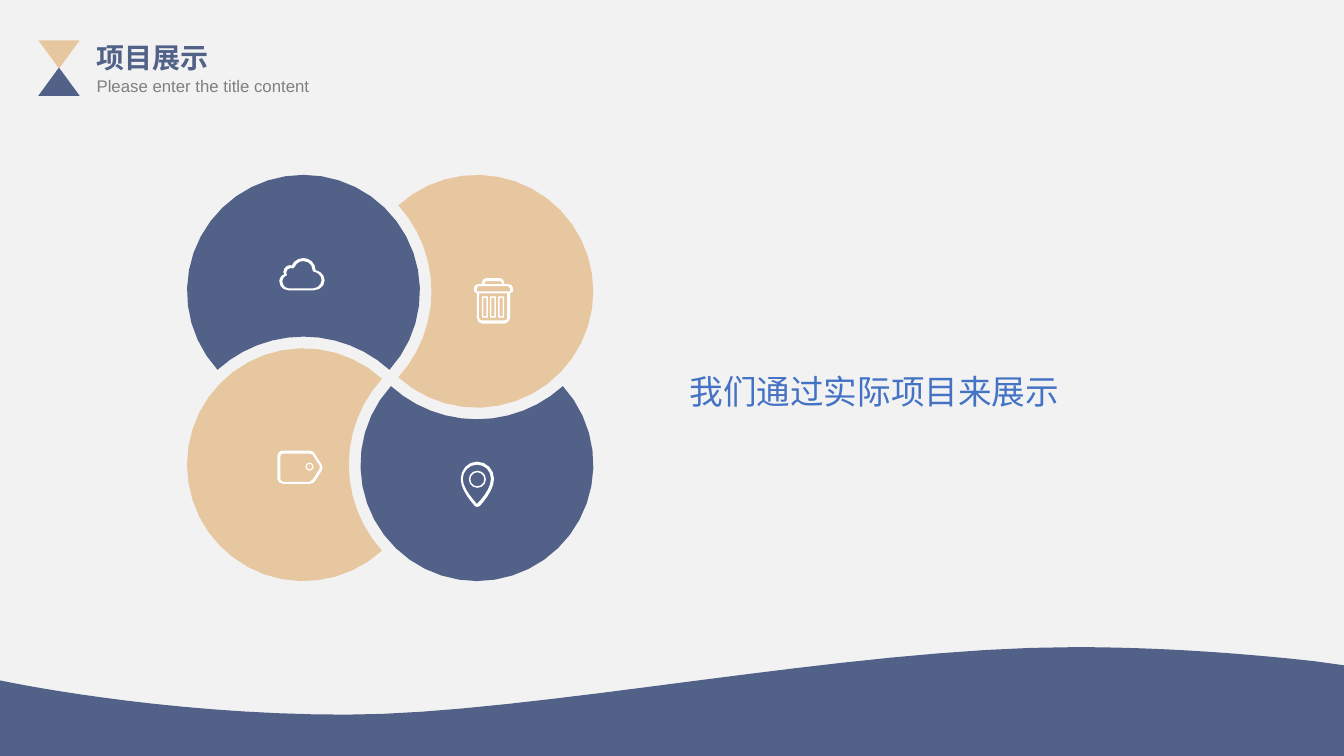
from math import acos, asin, cos, hypot, sin
from pptx import Presentation
from pptx.dml.color import RGBColor
from pptx.enum.shapes import MSO_SHAPE
from pptx.enum.text import MSO_ANCHOR, MSO_AUTO_SIZE, PP_ALIGN
from pptx.util import Inches, Pt

NAVY = RGBColor(0x52, 0x61, 0x88)
TAN = RGBColor(0xE7, 0xC7, 0xA0)
GREY = RGBColor(0x80, 0x80, 0x80)
BLUE = RGBColor(0x44, 0x72, 0xC4)
WHITE = RGBColor(0xFF, 0xFF, 0xFF)
PAPER = RGBColor(0xF2, 0xF2, 0xF2)

WAVE = ("M 1065 0 C 840 0 528 67 343 67 C 157 67 0 33 0 33 L 0 108 L 1333 108 "
        "L 1333 18 L 1304 14 C 1232 6 1149 0 1065 0")
PIN = ("M 16 42 C 11 36 2 26 2 17 C 2 9 9 3 16 3 C 24 3 30 9 30 17 C 30 26 22 36 16 42 "
       "M 16 0 C 7 0 0 8 0 17 C 0 27 8 37 14 44 L 16 45 L 19 44 "
       "C 25 37 33 27 33 17 C 33 8 26 0 16 0")
TAG = ("M 42 18 L 35 29 L 32 31 L 6 31 C 4 31 3 29 3 28 L 3 6 C 3 4 4 3 6 3 "
       "L 32 3 L 35 4 L 42 15 L 42 18 "
       "M 44 14 L 37 3 C 36 1 34 0 32 0 L 6 0 C 3 0 0 2 0 6 L 0 28 C 0 31 3 33 6 33 "
       "L 32 33 C 34 33 36 32 37 31 L 44 20 C 45 18 45 16 44 14")
BIN = ("M 36 10 L 36 13 L 3 13 L 3 10 L 4 8 L 34 8 L 36 10 "
       "M 33 39 C 33 41 32 42 30 42 L 8 42 C 7 42 5 41 5 39 L 5 15 L 33 15 L 33 39 "
       "M 11 4 L 12 3 L 26 3 L 28 4 L 28 6 L 11 6 L 11 4 "
       "M 39 10 C 38 7 37 6 34 6 L 30 6 L 30 4 C 30 2 28 0 26 0 L 12 0 C 10 0 8 2 8 4 "
       "L 8 6 L 4 6 C 2 6 0 7 0 10 L 0 13 L 3 15 L 3 39 C 3 42 5 45 8 45 "
       "L 30 45 C 33 45 36 42 36 39 L 36 15 L 39 13 L 39 10")
CLOUD = ("M 34 30 L 9 30 C 6 30 3 27 3 23 C 3 21 4 19 6 18 C 8 17 8 17 7 15 L 7 14 "
         "C 7 12 9 10 11 10 L 12 10 C 14 11 14 10 15 9 C 17 5 20 3 24 3 "
         "C 29 3 33 7 33 12 C 34 14 34 14 36 14 C 39 15 42 18 42 22 C 42 26 38 30 34 30 "
         "M 36 12 C 36 5 30 0 24 0 C 19 0 14 3 12 8 L 11 7 C 7 7 4 10 4 14 "
         "L 5 16 C 2 17 0 20 0 23 C 0 28 4 32 9 32 L 34 32 "
         "C 40 32 45 28 45 22 C 45 17 41 13 36 12")


def paint(shape, fill):
    """Give a shape a flat fill without line or shadow."""
    shape.shadow.inherit = False
    shape.fill.solid()
    shape.fill.fore_color.rgb = fill
    shape.line.fill.background()


def trace(code):
    """Turn path code in hundredths of an inch into lists of points."""
    words, loops = code.split(), []
    spot = 0
    while spot < len(words):
        count = 6 if words[spot] == "C" else 2
        nums = [float(w) / 100 for w in words[spot + 1:spot + 1 + count]]
        if words[spot] == "M":
            loops.append([tuple(nums)])
        elif words[spot] == "L":
            loops[-1].append(tuple(nums))
        else:
            start = loops[-1][-1]
            span = hypot(nums[4] - start[0], nums[5] - start[1])
            steps = min(16, 2 + int(span * 12))
            for step in range(1, steps + 1):
                t = step / steps
                u = 1 - t
                loops[-1].append(tuple(
                    u**3 * start[k] + 3 * u * u * t * nums[k]
                    + 3 * u * t * t * nums[k + 2] + t**3 * nums[k + 4] for k in (0, 1)))
        spot += count + 1
    return loops


def draw(slide, loops, left, top, fill):
    """Draw closed loops as one filled outline at the given corner."""
    pen = None
    for loop in loops:
        spots = [(Inches(left + x), Inches(top + y)) for x, y in loop]
        if pen is None:
            pen = slide.shapes.build_freeform(*spots[0])
        else:
            pen.move_to(*spots[0])
        pen.add_line_segments(spots[1:], close=True)
    paint(pen.convert_to_shape(), fill)


def write(shape, text, size, color, bold=False, align=PP_ALIGN.LEFT):
    """Put one formatted line of text in a shape."""
    frame = shape.text_frame
    frame.text = text
    frame.word_wrap = True
    frame.auto_size = MSO_AUTO_SIZE.SHAPE_TO_FIT_TEXT
    frame.vertical_anchor = MSO_ANCHOR.TOP
    para = frame.paragraphs[0]
    para.alignment, para.line_spacing = align, 1.0
    font = para.runs[0].font
    font.name, font.size, font.bold = "Arial", Pt(size), bold
    font.color.rgb = color


def place(slide, kind, left, top, width, height, fill):
    """Add one flat preset shape."""
    shape = slide.shapes.add_shape(
        kind, Inches(left), Inches(top), Inches(width), Inches(height))
    paint(shape, fill)
    return shape


def header(slide, left, top):
    """Place the hourglass mark, title and subtitle."""
    place(slide, MSO_SHAPE.ISOSCELES_TRIANGLE, left, top + 0.27, 0.41, 0.28, NAVY)
    cap = place(slide, MSO_SHAPE.ISOSCELES_TRIANGLE, left, top, 0.41, 0.28, TAN)
    cap.rotation = 180
    title = slide.shapes.title
    title.left, title.top = Inches(left + 0.48), Inches(top - 0.05)
    title.width, title.height = Inches(1.79), Inches(0.44)
    write(title, "项目展示", 20, NAVY, bold=True, align=PP_ALIGN.JUSTIFY)
    sub = slide.shapes.add_textbox(
        Inches(left + 0.48), Inches(top + 0.3), Inches(2.64), Inches(0.3))
    write(sub, "Please enter the title content", 12, GREY, align=PP_ALIGN.JUSTIFY)


def arc(x, y, size, half, steps):
    """Return points of an arc from minus to plus the half angle."""
    turns = [half * (2 * k / steps - 1) for k in range(steps + 1)]
    return [(x + size * cos(a), y + size * sin(a)) for a in turns]


def petal(turn, shift=0.86, disc=1.155, bite=1.27):
    """Return a bitten disc, turned by quarters about the flower centre."""
    gap = 2 * shift
    edge = (bite**2 - disc**2 - gap**2) / (2 * gap)
    wide = acos(edge / disc)
    slim = asin(disc * sin(wide) / bite)
    loop = arc(shift, -shift, disc, wide, 30)
    loop += arc(-shift, -shift, bite, slim, 12)[::-1]
    for _ in range(turn):
        loop = [(-y, x) for x, y in loop]
    return loop


def flower(slide, left, top):
    """Place four overlapping petals and their icons."""
    for turn in range(4):
        draw(slide, [petal(turn)], left + 2.02, top + 2.02, NAVY if turn % 2 else TAN)
    icons = [(PIN, 2.72, 2.85), (TAG, 0.9, 2.74), (BIN, 2.85, 1.03), (CLOUD, 0.92, 0.83)]
    for code, x, y in icons:
        draw(slide, trace(code), left + x, top + y, WHITE)
    rims = [(MSO_SHAPE.DONUT, 2.8, 2.94, 0.17, 0.17, 0.09),
            (MSO_SHAPE.DONUT, 1.18, 2.86, 0.08, 0.08, 0.16)]
    rims += [(MSO_SHAPE.FRAME, 2.93 + 0.08 * k, 1.21, 0.06, 0.21, 0.25) for k in range(3)]
    for kind, x, y, width, height, rim in rims:
        ring = place(slide, kind, left + x, top + y, width, height, WHITE)
        ring.adjustments[0] = rim


def claim(slide, left, top):
    """Place the statement beside the flower."""
    box = slide.shapes.add_textbox(Inches(left), Inches(top), Inches(4.11), Inches(0.5))
    write(box, "我们通过实际项目来展示", 24, BLUE)


def main():
    """Build and save the slide."""
    deck = Presentation()
    deck.slide_width, deck.slide_height = Inches(13.33), Inches(7.5)
    slide = deck.slides.add_slide(deck.slide_layouts[5])
    slide.background.fill.solid()
    slide.background.fill.fore_color.rgb = PAPER
    draw(slide, trace(WAVE), 0, 6.42, NAVY)
    header(slide, 0.38, 0.4)
    flower(slide, 1.85, 1.73)
    claim(slide, 6.74, 3.63)
    deck.save("out.pptx")


if __name__ == "__main__":
    main()
